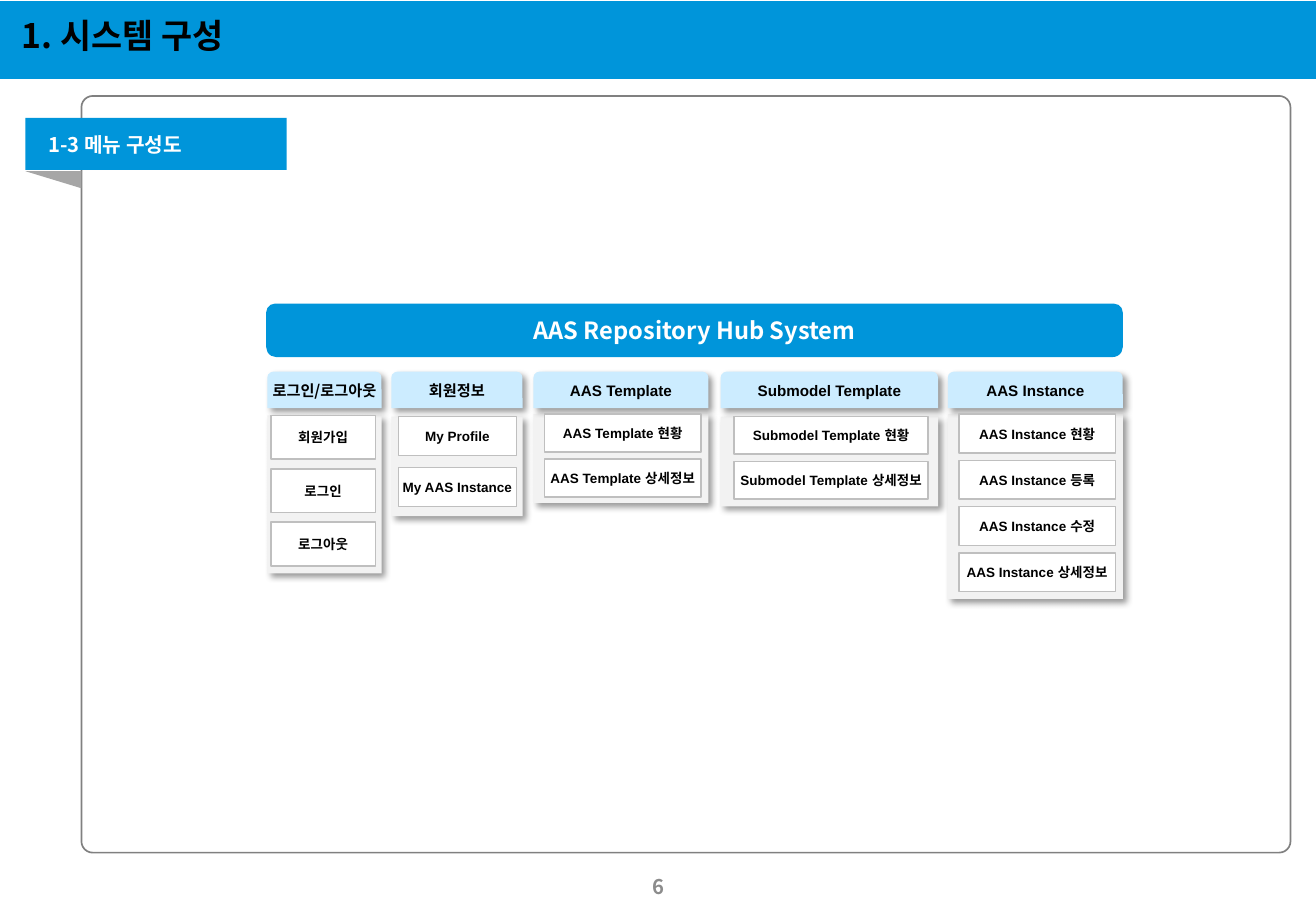
from dataclasses import dataclass

from lxml.etree import SubElement
from pptx import Presentation
from pptx.dml.color import RGBColor
from pptx.enum.shapes import MSO_SHAPE
from pptx.enum.text import MSO_ANCHOR, PP_ALIGN
from pptx.oxml.ns import qn
from pptx.util import Inches, Pt

COLORS = {
    "blue": "0095DA", "light_blue": "CCECFF", "panel": "F2F2F2",
    "white": "FFFFFF", "black": "000000", "frame": "808080",
    "border": "BFBFBF", "fold": "A6A6A6", "page_number": "8C8C8C",
}
KOREAN_FONT = "Noto Sans CJK KR"
LATIN_FONT = "Arial"
HEADER_TOP, HEADER_HEIGHT = 3.06, 0.3


@dataclass
class MenuColumn:
    title: str
    left: float
    width: float
    panel_top: float
    panel_height: float
    item_left: float
    item_width: float
    item_height: float
    item_pitch: float
    items: list
    font: str = LATIN_FONT


MENU = [
    MenuColumn("AAS Template", 4.39, 1.44, 3.41, 0.73, 4.48, 1.29, 0.31, 0.37,
               ["AAS Template 현황", "AAS Template 상세정보"]),
    MenuColumn("Submodel Template", 5.93, 1.79, 3.43, 0.74, 6.04, 1.6, 0.31, 0.37,
               ["Submodel Template 현황", "Submodel Template 상세정보"]),
    MenuColumn("AAS Instance", 7.8, 1.44, 3.41, 1.52, 7.89, 1.29, 0.32, 0.38,
               ["AAS Instance 현황", "AAS Instance 등록",
                "AAS Instance 수정", "AAS Instance 상세정보"]),
    MenuColumn("회원정보", 3.22, 1.08, 3.43, 0.82, 3.28, 0.97, 0.32, 0.42,
               ["My Profile", "My AAS Instance"]),
    MenuColumn("로그인/로그아웃", 2.2, 0.94, 3.42, 1.3, 2.23, 0.86, 0.36, 0.44,
               ["회원가입", "로그인", "로그아웃"], KOREAN_FONT),
]


class SlideBuilder:
    def __init__(self, slide):
        self.slide = slide

    def color(self, name):
        return RGBColor.from_string(COLORS[name])

    def shape(self, kind, box, fill=None, line=None, adjustments=(), shadow=False):
        shape = self.slide.shapes.add_shape(kind, *map(Inches, box))
        for index, value in enumerate(adjustments):
            shape.adjustments[index] = value
        if fill:
            shape.fill.solid()
            shape.fill.fore_color.rgb = self.color(fill)
        else:
            shape.fill.background()
        if line:
            shape.line.color.rgb = self.color(line)
            shape.line.width = Pt(1)
        else:
            shape.line.fill.background()
        shape.shadow.inherit = False
        if shadow:
            self.cast_shadow(shape)
        return shape

    def cast_shadow(self, shape):
        effects = shape._element.spPr.find(qn("a:effectLst"))
        outer = SubElement(effects, qn("a:outerShdw"), blurRad=str(Pt(4)),
                           dist=str(Pt(3)), dir="2700000", algn="tl", rotWithShape="0")
        color = SubElement(outer, qn("a:srgbClr"), val=COLORS["black"])
        SubElement(color, qn("a:alpha"), val="40000")

    def label(self, shape, text, size, color="black", font=KOREAN_FONT,
              align=PP_ALIGN.CENTER, margins=(0, 0), wrap=True):
        """Fill a shape with one bold, vertically centred line of text."""
        frame = shape.text_frame
        side, end = map(Inches, margins)
        frame_format = {
            "margin_left": side, "margin_right": side, "margin_top": end,
            "margin_bottom": end, "word_wrap": wrap,
            "vertical_anchor": MSO_ANCHOR.MIDDLE,
        }
        for name, value in frame_format.items():
            setattr(frame, name, value)
        paragraph = frame.paragraphs[0]
        paragraph.alignment = align
        run = paragraph.add_run()
        run.text = text
        for name, value in {"size": Pt(size), "bold": True, "name": font}.items():
            setattr(run.font, name, value)
        run.font.color.rgb = self.color(color)
        SubElement(run._r.get_or_add_rPr(), qn("a:ea"), typeface=KOREAN_FONT)

    def text(self, box, text, size, color="black", align=PP_ALIGN.LEFT):
        text_box = self.slide.shapes.add_textbox(*map(Inches, box))
        self.label(text_box, text, size, color, align=align, margins=(0.1, 0.05))

    def menu_column(self, column):
        self.shape(MSO_SHAPE.ROUND_2_SAME_RECTANGLE,
                   (column.left, column.panel_top, column.width, column.panel_height),
                   "panel", adjustments=(0, 0), shadow=True)
        header = self.shape(MSO_SHAPE.ROUND_2_SAME_RECTANGLE,
                            (column.left, HEADER_TOP, column.width, HEADER_HEIGHT),
                            "light_blue", shadow=True)
        self.label(header, column.title, 9, font=column.font,
                   margins=(0.07, 0.03), wrap=False)
        for row, name in enumerate(column.items):
            top = column.panel_top + row * column.item_pitch
            item = self.shape(MSO_SHAPE.RECTANGLE,
                              (column.item_left, top, column.item_width, column.item_height),
                              "white", "border")
            self.label(item, name, 8, font=LATIN_FONT)


def main():
    presentation = Presentation()
    presentation.slide_width = Inches(10.83)
    presentation.slide_height = Inches(7.5)
    builder = SlideBuilder(presentation.slides.add_slide(presentation.slide_layouts[6]))

    builder.text((5.08, 7.14, 0.68, 0.31), "6", 12, "page_number", PP_ALIGN.CENTER)
    builder.shape(MSO_SHAPE.RECTANGLE, (0, 0.01, 10.83, 0.64), "blue")
    builder.shape(MSO_SHAPE.ROUNDED_RECTANGLE, (0.67, 0.79, 9.95, 6.23),
                  line="frame", adjustments=(0.015,))
    fold = builder.shape(MSO_SHAPE.RIGHT_TRIANGLE, (0.21, 1.41, 0.46, 0.14), "fold")
    fold.rotation = 180
    builder.shape(MSO_SHAPE.RECTANGLE, (0.21, 0.97, 2.15, 0.43), "blue")
    builder.text((0.3, 1.01, 2.07, 0.36), "1-3 메뉴 구성도", 12, "white")
    builder.text((0.08, 0, 6.08, 0.58), "1. 시스템 구성", 20)

    system = builder.shape(MSO_SHAPE.ROUND_2_SAME_RECTANGLE, (2.19, 2.5, 7.05, 0.44),
                           "blue", adjustments=(0.167, 0.188))
    builder.label(system, "AAS Repository Hub System", 14, "white",
                  margins=(0.08, 0.04), wrap=False)
    for column in MENU:
        builder.menu_column(column)

    presentation.save("out.pptx")


if __name__ == "__main__":
    main()
